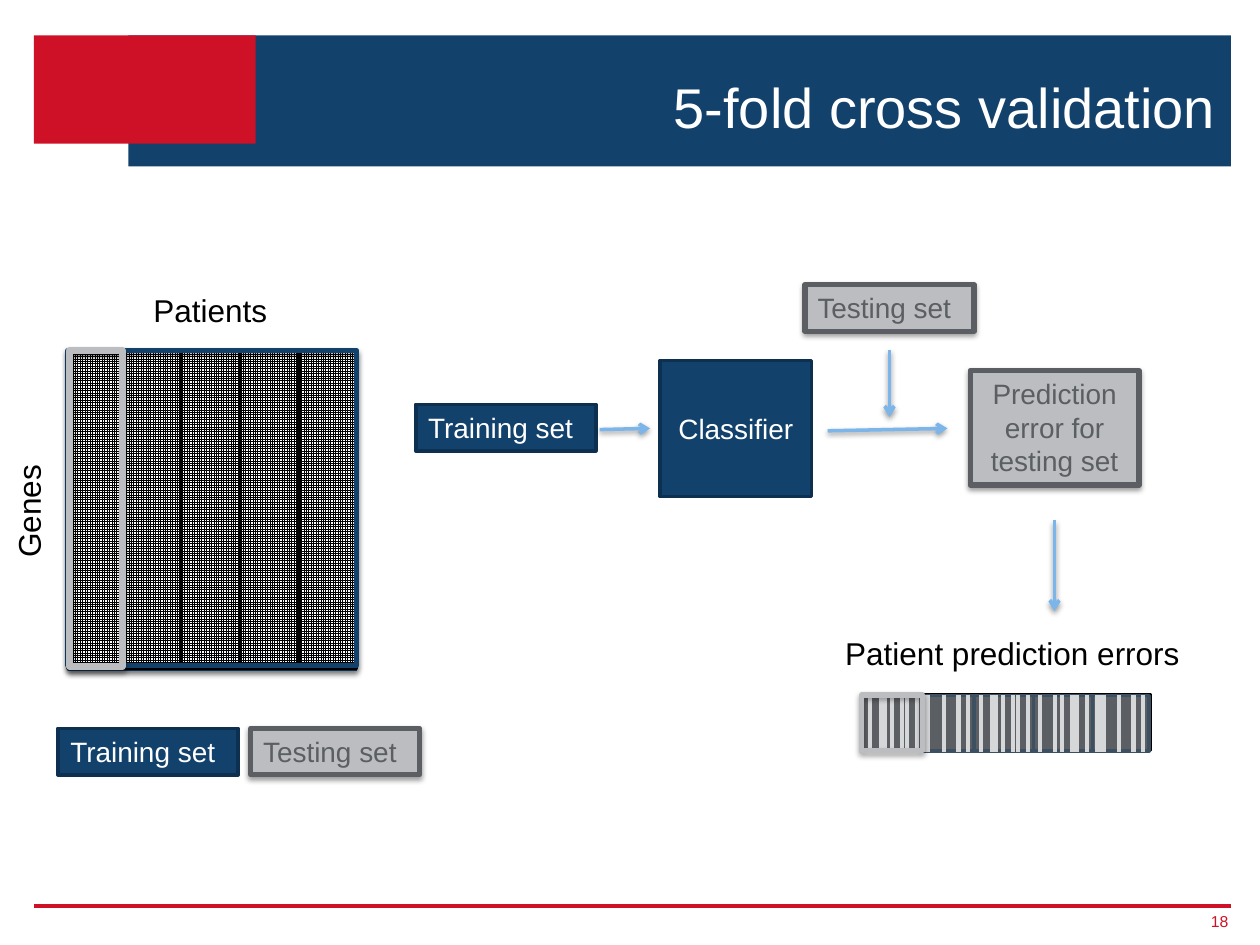
import pptx
import pptx.util
import pptx.dml.color
import pptx.enum.dml
import pptx.enum.shapes
import pptx.enum.text
import pptx.oxml
import pptx.oxml.ns
from lxml import etree

Pt = pptx.util.Pt
ALIGN = pptx.enum.text.PP_ALIGN
ANCHOR = pptx.enum.text.MSO_ANCHOR
FIT = pptx.enum.text.MSO_AUTO_SIZE
COLORS = {
    "navy": "12416C", "navy_edge": "0D3050", "red": "CE1126", "white": "FFFFFF",
    "black": "000000", "silver": "BBBDC0", "gray": "5B5E62", "sky": "7BB5E9",
    "stripe": "D6D7D9", "slate": "3D5062",
}
SOFT, DEEP = (38, 1.6), (35, 1.8)
CUTS = [31 + 33.6 * i for i in range(4)]


def rgb(name):
    """Look up a named colour."""
    return pptx.dml.color.RGBColor.from_string(COLORS[name])


def add_effects(shape, shadow=None):
    """Replace the theme effects by a given downward shadow or by none."""
    qn = pptx.oxml.ns.qn
    effects = etree.SubElement(shape._element.spPr, qn("a:effectLst"))
    if shadow:
        alpha, dist = shadow
        outer = etree.SubElement(
            effects, qn("a:outerShdw"), blurRad=str(Pt(3.1)), dist=str(Pt(dist)),
            dir="5400000", rotWithShape="0")
        color = etree.SubElement(outer, qn("a:srgbClr"), val=COLORS["black"])
        etree.SubElement(color, qn("a:alpha"), val=str(alpha * 1000))


def write(shape, text, size=16, color="black", align=ALIGN.LEFT, anchor=ANCHOR.TOP,
          wrap=True, fit=FIT.NONE, inset=None, spacing=None):
    """Put one formatted paragraph into a shape."""
    tf = shape.text_frame
    tf.word_wrap, tf.auto_size, tf.vertical_anchor = wrap, fit, anchor
    if inset is not None:
        tf.margin_left = tf.margin_right = tf.margin_top = tf.margin_bottom = Pt(inset)
    p = tf.paragraphs[0]
    p.alignment = align
    if spacing:
        p.line_spacing = Pt(spacing)
    r = p.add_run()
    r.text = text
    r.font.size, r.font.name = Pt(size), "Arial"
    r.font.color.rgb = rgb(color)


def add_rect(s, x, y, w, h, fill=None, line=None, weight=2, shadow=None):
    """Add a rectangle with optional fill, outline and shadow."""
    sp = s.shapes.add_shape(pptx.enum.shapes.MSO_SHAPE.RECTANGLE, Pt(x), Pt(y), Pt(w), Pt(h))
    if fill:
        sp.fill.solid()
        sp.fill.fore_color.rgb = rgb(fill)
    else:
        sp.fill.background()
    if line:
        sp.line.color.rgb = rgb(line)
        sp.line.width = Pt(weight)
    else:
        sp.line.fill.background()
    add_effects(sp, shadow)
    return sp


def add_line(s, x1, y1, x2, y2, color="black", weight=2.25, shadow=None):
    """Add a straight line."""
    kind = pptx.enum.shapes.MSO_CONNECTOR.STRAIGHT
    c = s.shapes.add_connector(kind, Pt(x1), Pt(y1), Pt(x2), Pt(y2))
    c.line.color.rgb = rgb(color)
    c.line.width = Pt(weight)
    add_effects(c, shadow)
    return c


def add_arrow(s, x1, y1, x2, y2):
    """Add a flow arrow."""
    c = add_line(s, x1, y1, x2, y2, "sky", 2, SOFT)
    etree.SubElement(c.line._get_or_add_ln(), pptx.oxml.ns.qn("a:tailEnd"), type="arrow")


def add_label(s, text, x, y, w, h=28.8, rotation=0):
    """Add a caption."""
    sp = s.shapes.add_textbox(Pt(x), Pt(y), Pt(w), Pt(h))
    sp.rotation = rotation
    write(sp, text, 18, wrap=False, fit=FIT.SHAPE_TO_FIT_TEXT)


def add_training(s, x, y):
    """Add a training set tag."""
    sp = add_rect(s, x, y, 103, 26.6, "navy", "navy_edge")
    write(sp, "Training set", color="white", fit=FIT.SHAPE_TO_FIT_TEXT)


def add_testing(s, x, y, text="Testing set", h=26.6, align=ALIGN.LEFT):
    """Add a gray box for the testing side."""
    sp = add_rect(s, x, y, 96.5, h, "silver", "gray", 3, SOFT)
    write(sp, text, color="gray", align=align, fit=FIT.SHAPE_TO_FIT_TEXT)


def add_folds(s, x, y, w, h):
    """Outline a box and cut it into five folds."""
    add_rect(s, x, y, w, h, line="black")
    for cut in CUTS:
        add_line(s, x + cut, y, x + cut, y + h)


def add_header(s, x, y, w, h):
    """Draw the banner and place the title on it."""
    add_rect(s, x + 54, y, w - 54, h, "navy")
    add_rect(s, x, y, 126.7, 61.9, "red")
    title = s.shapes.title
    title.left, title.top = Pt(x + 126.8), Pt(y + 13.6)
    title.width, title.height = Pt(w - 128.2), Pt(49.7)
    write(title, "5-fold cross validation", 32, "white", ALIGN.RIGHT, ANCHOR.BOTTOM, spacing=25)
    title.element.getparent().append(title.element)


def add_footer(s, x, y, w):
    """Draw the bottom rule and the page number."""
    add_line(s, x, y, x + w, y, "red")
    sp = s.shapes.add_textbox(Pt(x + w - 20.8), Pt(y + 0.7), Pt(19.4), Pt(16.6))
    write(sp, "18", 9, "red", ALIGN.RIGHT, ANCHOR.MIDDLE, inset=0)


def add_matrix(s, x, y, w, h):
    """Draw the gene by patient matrix with its captions and legend."""
    add_label(s, "Patients", x + 41.7, y - 37.5, 79.9)
    add_label(s, "Genes", x - 56.9, y + 77, 68.4, rotation=270)
    add_training(s, x - 5.8, y + 216)
    add_testing(s, x + 104.4, y + 216)
    grid = add_rect(s, x, y + 0.7, w, h + 0.7, "white", "navy", 0.75, DEEP)
    grid.fill.patterned()
    grid.fill.pattern = pptx.enum.dml.MSO_PATTERN.SMALL_GRID
    grid.fill.fore_color.rgb, grid.fill.back_color.rgb = rgb("black"), rgb("white")
    add_folds(s, x, y, w, h)
    add_rect(s, x, y, w, h - 1.4, line="navy", weight=3, shadow=DEEP)
    add_rect(s, x + 0.7, y, 30.2, h - 0.7, line="silver", weight=4, shadow=DEEP)


def add_flow(s, x, y):
    """Draw the path from training set to prediction error."""
    add_training(s, x, y + 68.4)
    add_arrow(s, x + 105.1, y + 82.8, x + 133.9, y + 82.1)
    sp = add_rect(s, x + 139.7, y + 43.2, 86.4, 77.8, "navy", "navy_edge")
    write(sp, "Classifier", color="white", align=ALIGN.CENTER, anchor=ANCHOR.MIDDLE)
    add_arrow(s, x + 235.4, y + 83.5, x + 303.8, y + 82.1)
    add_testing(s, x + 222.5, y)
    add_arrow(s, x + 270.7, y + 37.5, x + 270.7, y + 75.6)
    add_testing(s, x + 316.8, y + 49, "Prediction error for testing set", 65.5, ALIGN.CENTER)
    add_arrow(s, x + 365, y + 134.7, x + 365, y + 186.5)


def add_errors(s, x, y, w, h):
    """Draw the striped strip of prediction errors, one segment per fold."""
    add_label(s, "Patient prediction errors", x - 16.6, y - 38.5, 207.4)
    add_folds(s, x, y, w, h)
    shared = [4.5, 17.3, 25.9, 31.3]
    left, spread = [6.5, 8.6, 25.2], [10.8, 13, 23]
    segments = [(129.6, left), (97.2, [13, 23, 25.2]), (63.4, spread), (29.5, left), (0, spread)]
    for start, extra in segments:
        add_line(s, x + start, y, x + start, y + h)
        add_rect(s, x + start, y + 0.5, 34.6, h, "gray", "slate")
        for dx in shared + extra:
            add_line(s, x + start + dx, y, x + start + dx, y + h + 0.7, "stripe")
    add_rect(s, x, y, 34.6, h, line="silver", weight=3, shadow=DEEP)


def main():
    """Build and save the slide."""
    prs = pptx.Presentation()
    prs.slide_width, prs.slide_height = Pt(720), Pt(540)
    s = prs.slides.add_slide(prs.slide_layouts[5])
    add_header(s, 19.4, 20.2, 684, 74.9)
    add_footer(s, 19.4, 517.7, 684)
    add_matrix(s, 38.9, 200.2, 164.9, 181.4)
    add_flow(s, 237.6, 162.7)
    add_errors(s, 492.5, 397.1, 164.9, 31.7)
    prs.save("out.pptx")


if __name__ == "__main__":
    main()
